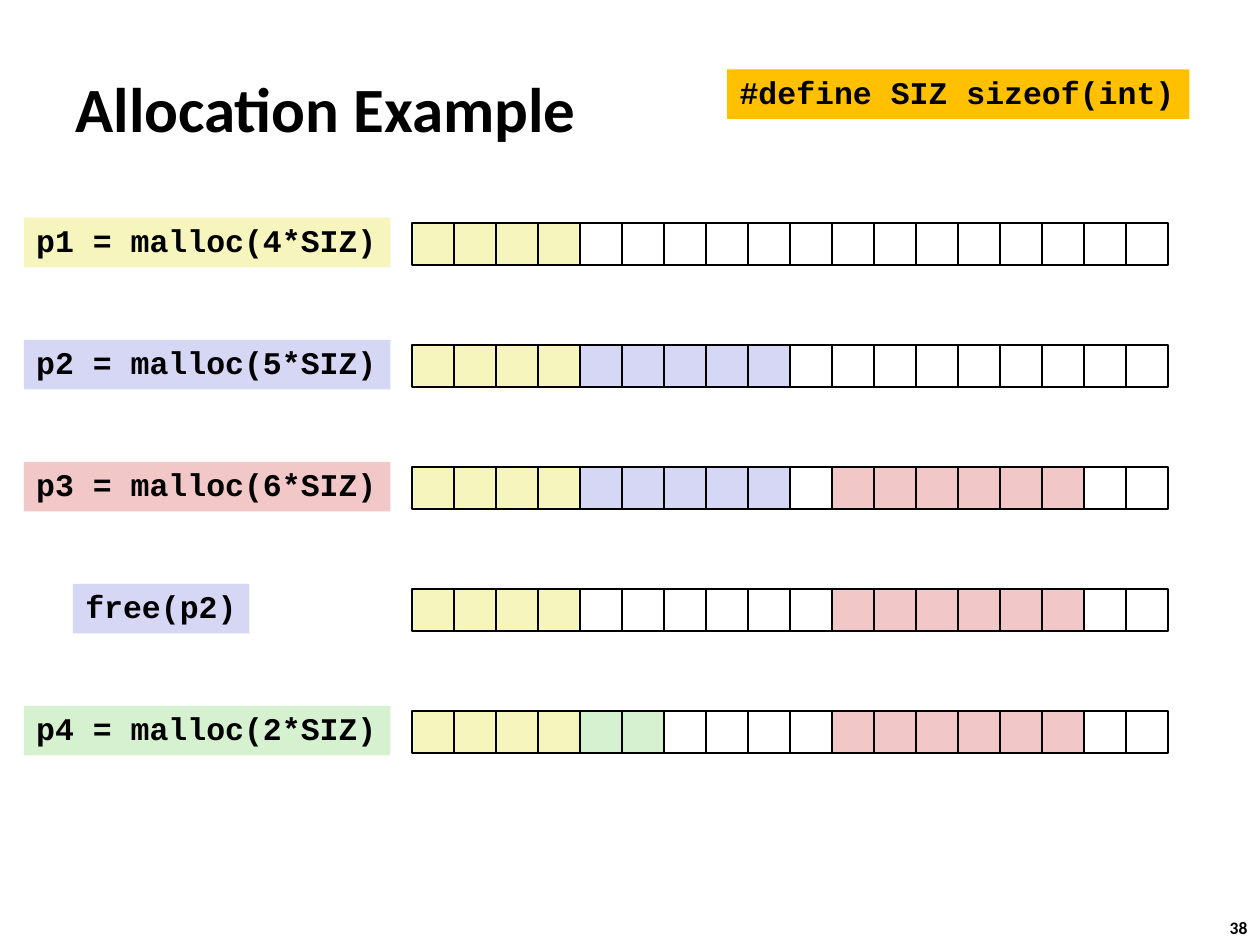
from pptx import Presentation
from pptx.dml.color import RGBColor
from pptx.enum.shapes import MSO_SHAPE
from pptx.enum.text import MSO_ANCHOR, PP_ALIGN
from pptx.util import Cm, Pt

COLORS = {
    "text": "000000",
    "free": "FFFFFF",
    "p1": "F6F5BD",
    "p2": "D6D6F5",
    "p3": "F1C7C7",
    "p4": "D5F1CF",
    "define": "FFC000",
}
LABEL_LEFT, LABEL_WIDTH, LABEL_HEIGHT = Cm(0.48), Cm(7.39), Cm(1)
FREE_LEFT, FREE_WIDTH = Cm(1.47), Cm(3.56)
HEAP_LEFT, HEAP_WIDTH, WORDS = Cm(8.31), Cm(15.24), 18
FIRST_ROW, ROW_PITCH = Cm(4.39), Cm(2.46)

# Label, its colour, its left and width, and the heap as (owner, words) blocks
STEPS = [
    ("p1 = malloc(4*SIZ)", "p1", LABEL_LEFT, LABEL_WIDTH,
     [("p1", 4), ("free", 14)]),
    ("p2 = malloc(5*SIZ)", "p2", LABEL_LEFT, LABEL_WIDTH,
     [("p1", 4), ("p2", 5), ("free", 9)]),
    ("p3 = malloc(6*SIZ)", "p3", LABEL_LEFT, LABEL_WIDTH,
     [("p1", 4), ("p2", 5), ("free", 1), ("p3", 6), ("free", 2)]),
    ("free(p2)", "p2", FREE_LEFT, FREE_WIDTH,
     [("p1", 4), ("free", 6), ("p3", 6), ("free", 2)]),
    ("p4 = malloc(2*SIZ)", "p4", LABEL_LEFT, LABEL_WIDTH,
     [("p1", 4), ("p4", 2), ("free", 4), ("p3", 6), ("free", 2)]),
]


def color(name):
    return RGBColor.from_string(COLORS[name])


def add_run(p, text, font, size):
    p.alignment = PP_ALIGN.LEFT
    r = p.add_run()
    r.text = text
    r.font.name = font
    r.font.size = Pt(size)
    r.font.bold = True
    r.font.color.rgb = color("text")


def add_rect(shapes, left, top, width, height, fill):
    sp = shapes.add_shape(MSO_SHAPE.RECTANGLE, left, top, width, height)
    sp.shadow.inherit = False
    sp.fill.solid()
    sp.fill.fore_color.rgb = color(fill)
    return sp


def add_title(s, left, top, width, height, text):
    title = s.shapes.title
    title.left, title.top, title.width, title.height = left, top, width, height
    tf = title.text_frame
    tf.vertical_anchor = MSO_ANCHOR.MIDDLE
    add_run(tf.paragraphs[0], text, "Calibri", 36)


def add_code(s, left, top, width, height, text, fill):
    sp = add_rect(s.shapes, left, top, width, height, fill)
    sp.line.fill.background()
    tf = sp.text_frame
    tf.word_wrap = False
    tf.vertical_anchor = MSO_ANCHOR.TOP
    p = tf.paragraphs[0]
    p.line_spacing = 0.94
    add_run(p, text, "Courier New", 18)


def add_heap(s, left, top, width, blocks):
    """Draw the heap as a group of square words, coloured by owner."""
    group = s.shapes.add_group_shape()
    side = width // WORDS
    owners = [owner for owner, count in blocks for _ in range(count)]
    for i, owner in enumerate(owners):
        word = add_rect(group.shapes, left + i * side, top, side, side, owner)
        word.line.color.rgb = color("text")
        word.line.width = Pt(1)


def add_page_number(s, left, top, width, height, text):
    tf = s.shapes.add_textbox(left, top, width, height).text_frame
    tf.word_wrap = False
    add_run(tf.paragraphs[0], text, "Calibri", 10)


def main():
    prs = Presentation()
    prs.slide_width, prs.slide_height = Cm(25.4), Cm(19.05)
    s = prs.slides.add_slide(prs.slide_layouts[5])

    add_title(s, Cm(1.27), Cm(1.37), Cm(17.96), Cm(1.6), "Allocation Example")
    add_code(s, Cm(14.66), Cm(1.4), Cm(9.32), LABEL_HEIGHT,
             "#define SIZ sizeof(int)", "define")
    for i, (text, fill, left, width, blocks) in enumerate(STEPS):
        top = FIRST_ROW + i * ROW_PITCH
        add_code(s, left, top, width, LABEL_HEIGHT, text, fill)
        add_heap(s, HEAP_LEFT, top + Cm(0.1), HEAP_WIDTH, blocks)
    add_page_number(s, Cm(24.54), Cm(18.36), Cm(0.94), Cm(0.69), "38")

    prs.save("out.pptx")


if __name__ == "__main__":
    main()
